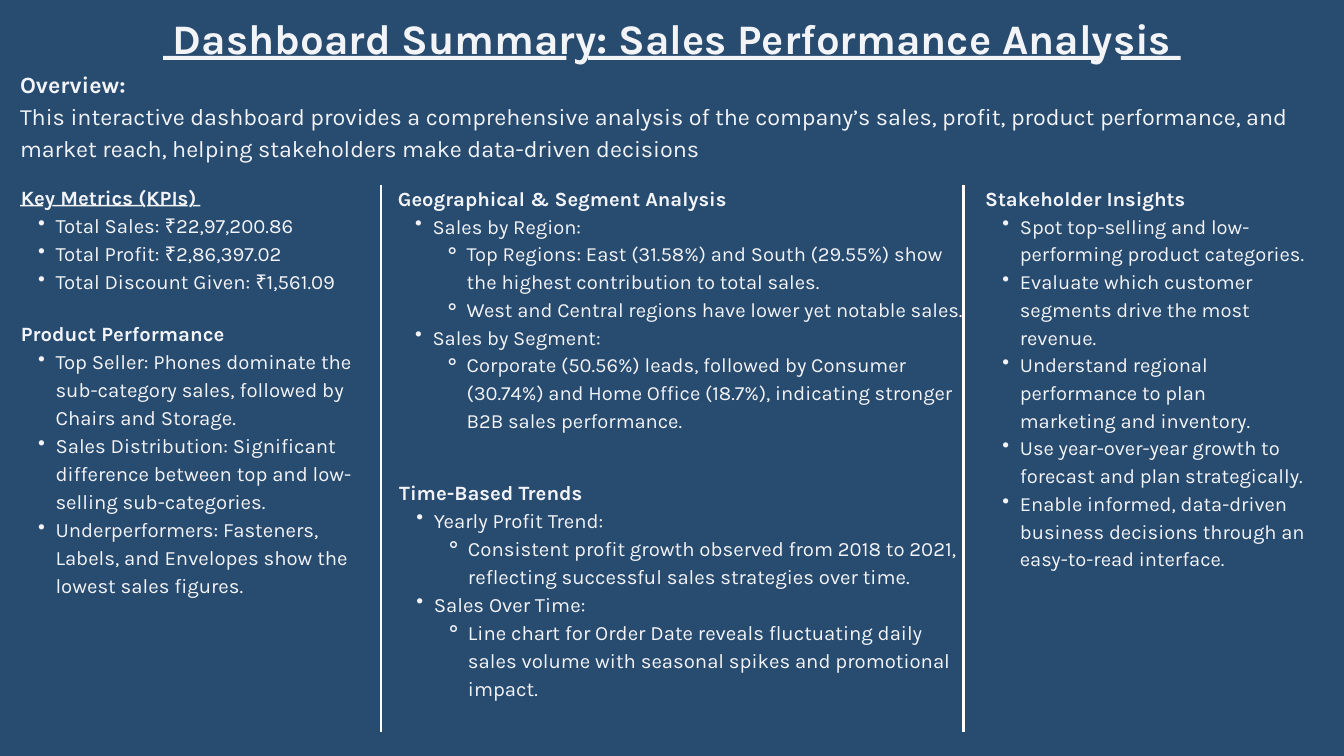
from dataclasses import dataclass

from lxml.etree import SubElement
from pptx import Presentation
from pptx.dml.color import RGBColor
from pptx.enum.shapes import MSO_CONNECTOR as Connector
from pptx.enum.text import MSO_ANCHOR as Anchor, MSO_AUTO_SIZE as AutoSize, PP_ALIGN as Align
from pptx.oxml.ns import qn
from pptx.slide import Slide
from pptx.util import Cm, Pt

COLORS = {"background": "284B70", "ink": "F3F4F7", "divider": "FFFFFF"}
FRAME_FORMAT = {
    "margin_left": 0,
    "margin_top": 0,
    "margin_right": 0,
    "margin_bottom": 0,
    "word_wrap": True,
    "vertical_anchor": Anchor.TOP,
    "auto_size": AutoSize.SHAPE_TO_FIT_TEXT,
}
BULLETS = {1: ("•", 1.31, -0.66), 2: ("⚬", 2.6, -0.86)}


@dataclass
class Section:
    left: float
    top: float
    width: float
    height: float
    heading: str
    items: list[tuple[int, str]]
    size: float = 21.8
    leading: float = 30
    align: Align = Align.LEFT


@dataclass
class Underline:
    top: float
    thickness: float
    spans: list[tuple[float, float]]


UNDERLINES = [
    Underline(7.75, 0.05, [(0.76, 1.63), (1.98, 5.36), (5.56, 7.09), (7.29, 7.57)]),
    Underline(2.11, 0.15, [(6.17, 21.41), (22.23, 41.55), (42.37, 44.63)]),
]
DIVIDERS = [14.4, 36.42]
SECTIONS = [
    Section(0.79, 6.86, 13.64, 5.26, "Key Metrics (KPIs)", [
        (1, "Total Sales: ₹22,97,200.86"),
        (1, "Total Profit: ₹2,86,397.02"),
        (1, "Total Discount Given: ₹1,561.09"),
    ]),
    Section(0, 0.15, 50.8, 2.11, "Dashboard Summary: Sales Performance Analysis", [],
            45, 63, Align.CENTER),
    Section(0.76, 2.49, 48.56, 3.56, "Overview:", [
        (0, "This interactive dashboard provides a comprehensive analysis of the company’s "
            "sales, profit, product performance, and market reach, helping stakeholders "
            "make data-driven decisions"),
    ], 25, 34.4),
    Section(0.79, 12.01, 12.95, 12.67, "Product Performance", [
        (1, "Top Seller: Phones dominate the sub-category sales, followed by Chairs and Storage."),
        (1, "Sales Distribution: Significant difference between top and low-selling "
            "sub-categories."),
        (1, "Underperformers: Fasteners, Labels, and Envelopes show the lowest sales figures."),
    ]),
    Section(15.04, 6.91, 21.41, 11.48, "Geographical & Segment Analysis", [
        (1, "Sales by Region:"),
        (2, "Top Regions: East (31.58%) and South (29.55%) show the highest contribution "
            "to total sales."),
        (2, "West and Central regions have lower yet notable sales."),
        (1, "Sales by Segment:"),
        (2, "Corporate (50.56%) leads, followed by Consumer (30.74%) and Home Office (18.7%), "
            "indicating stronger B2B sales performance."),
    ], 21.6, 29.7),
    Section(15.09, 18.01, 21.41, 10.57, "Time-Based Trends", [
        (1, "Yearly Profit Trend:"),
        (2, "Consistent profit growth observed from 2018 to 2021, reflecting successful "
            "sales strategies over time."),
        (1, "Sales Over Time:"),
        (2, "Line chart for Order Date reveals fluctuating daily sales volume with seasonal "
            "spikes and promotional impact."),
    ]),
    Section(37.24, 6.91, 12.09, 17.48, "Stakeholder Insights", [
        (1, "Spot top-selling and low-performing product categories."),
        (1, "Evaluate which customer segments drive the most revenue."),
        (1, "Understand regional performance to plan marketing and inventory."),
        (1, "Use year-over-year growth to forecast and plan strategically."),
        (1, "Enable informed, data-driven business decisions through an easy-to-read interface."),
    ], 21.6, 29.7),
]


def color(role: str) -> RGBColor:
    return RGBColor.from_string(COLORS[role])


def apply_format(target: object, values: dict) -> None:
    for name, value in values.items():
        setattr(target, name, value)


def draw_underline(slide: Slide, underline: Underline) -> None:
    top, bottom = Cm(underline.top), Cm(underline.top + underline.thickness)
    builder = slide.shapes.build_freeform(Cm(underline.spans[0][0]), top)
    for index, (start, end) in enumerate(underline.spans):
        if index:
            builder.move_to(Cm(start), top)
        builder.add_line_segments(
            [(Cm(start), bottom), (Cm(end), bottom), (Cm(end), top)], close=True)
    rule = builder.convert_to_shape()
    rule.shadow.inherit = False
    rule.fill.solid()
    rule.fill.fore_color.rgb = color("ink")
    rule.line.fill.background()


def draw_divider(slide: Slide, x: float) -> None:
    divider = slide.shapes.add_connector(
        Connector.STRAIGHT, Cm(x), Cm(6.99), Cm(x), Cm(27.66))
    divider.line.color.rgb = color("divider")
    divider.line.width = Pt(3)
    SubElement(divider._element.spPr, qn("a:effectLst"))


def draw_section(slide: Slide, section: Section) -> None:
    box = slide.shapes.add_textbox(
        Cm(section.left), Cm(section.top), Cm(section.width), Cm(section.height))
    frame = box.text_frame
    apply_format(frame, FRAME_FORMAT)
    for index, (level, words) in enumerate([(0, section.heading), *section.items]):
        paragraph = frame.add_paragraph() if index else frame.paragraphs[0]
        apply_format(paragraph, {
            "level": level,
            "alignment": section.align,
            "line_spacing": Pt(section.leading),
        })
        if level:
            symbol, margin, hanging = BULLETS[level]
            properties = paragraph._p.get_or_add_pPr()
            properties.set("marL", str(Cm(margin)))
            properties.set("indent", str(Cm(hanging)))
            SubElement(properties, qn("a:buChar"), char=symbol)
        run = paragraph.add_run()
        run.text = words
        apply_format(run.font, {
            "name": "Karla", "size": Pt(section.size), "bold": index == 0})
        run.font.color.rgb = color("ink")


def main() -> None:
    deck = Presentation()
    apply_format(deck, {"slide_width": Cm(50.8), "slide_height": Cm(28.58)})
    slide = deck.slides.add_slide(deck.slide_layouts[6])
    slide.background.fill.solid()
    slide.background.fill.fore_color.rgb = color("background")
    for underline in UNDERLINES:
        draw_underline(slide, underline)
    for section in SECTIONS:
        draw_section(slide, section)
    for x in DIVIDERS:
        draw_divider(slide, x)
    deck.save("out.pptx")


if __name__ == "__main__":
    main()
